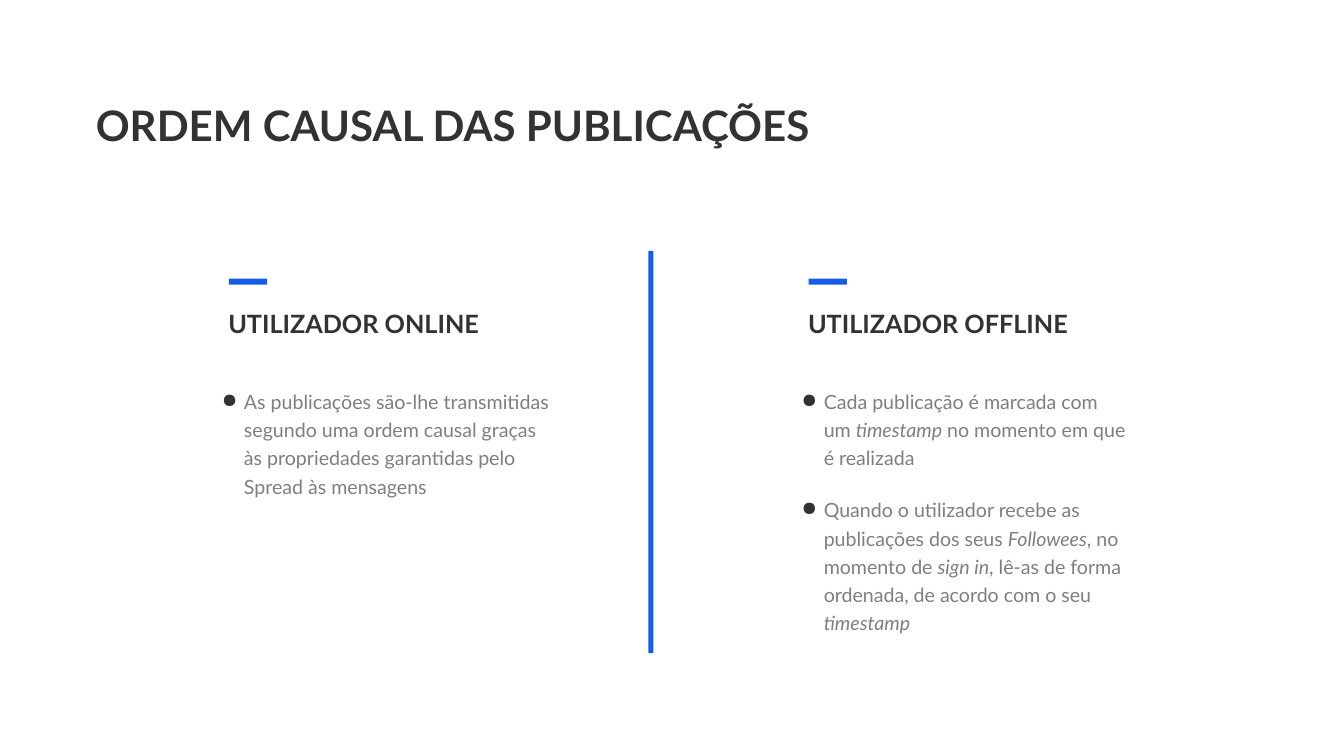
import pptx
import pptx.util
import pptx.dml.color
import pptx.enum.shapes
import pptx.enum.text
import pptx.oxml.ns
import lxml.etree

Inches = pptx.util.Inches
Pt = pptx.util.Pt
COLOURS = {"paper": "FEFFFE", "ink": "323232", "body": "7F7F7F", "accent": "145DE8"}
WIDTH, HEIGHT = 26.66, 15
LEFT_COLUMN, COLUMN_STEP = 4.43, 11.5
BAR_TOP, HEADING_TOP, BODY_TOP = 5.53, 6.06, 7.52

# Each body paragraph is a list of (text, italic) spans.
columns = [
    ("UTILIZADOR ONLINE", 5.3, 7.14, 2.68, [
        [("As publicações são-lhe transmitidas segundo uma ordem causal graças "
          "às propriedades garantidas pelo Spread às mensagens", False)],
    ]),
    ("UTILIZADOR OFFLINE", 6.02, 6.98, 4.1, [
        [("Cada publicação é marcada com um ", False), ("timestamp", True),
         (" no momento em que é realizada", False)],
        [("Quando o utilizador recebe as publicações dos seus ", False),
         ("Followees", True), (", no momento de ", False), ("sign in", True),
         (", lê-as de forma ordenada, de acordo com o seu ", False),
         ("timestamp", True)],
    ]),
]


def add_bar(left, top, width, height):
    """Add a flat accent rectangle, in inches."""
    bar = page.shapes.add_shape(pptx.enum.shapes.MSO_SHAPE.RECTANGLE, Inches(left),
                                Inches(top), Inches(width), Inches(height))
    bar.shadow.inherit = False
    bar.fill.solid()
    bar.fill.fore_color.rgb = pptx.dml.color.RGBColor.from_string(COLOURS["accent"])
    bar.line.fill.background()


def add_span(para, text, size, colour, bold=False, italic=False):
    """Add one formatted run to a left-aligned paragraph."""
    para.alignment = pptx.enum.text.PP_ALIGN.LEFT
    span = para.add_run()
    span.text = text
    span.font.name = "Lato"
    span.font.size = Pt(size)
    span.font.bold = bold
    span.font.italic = italic
    span.font.color.rgb = pptx.dml.color.RGBColor.from_string(COLOURS[colour])


deck = pptx.Presentation()
deck.slide_width, deck.slide_height = Inches(WIDTH), Inches(HEIGHT)
page = deck.slides.add_slide(deck.slide_layouts[5])
page.background.fill.solid()
page.background.fill.fore_color.rgb = pptx.dml.color.RGBColor.from_string(COLOURS["paper"])

title = page.shapes.title
title.left, title.top = Inches(1.8), Inches(1.93)
title.width, title.height = Inches(16.77), Inches(1.11)
title.text_frame.auto_size = pptx.enum.text.MSO_AUTO_SIZE.NONE
title.text_frame.vertical_anchor = pptx.enum.text.MSO_ANCHOR.TOP
add_span(title.text_frame.paragraphs[0], "ORDEM CAUSAL DAS PUBLICAÇÕES", 60, "ink", bold=True)

add_bar(12.86, 4.98, 0.1, 7.98)

for index, (heading, heading_width, body_width, body_height, points) in enumerate(columns):
    left = LEFT_COLUMN + index * COLUMN_STEP
    add_bar(left + 0.11, BAR_TOP, 0.76, 0.12)

    box = page.shapes.add_textbox(Inches(left), Inches(HEADING_TOP),
                                  Inches(heading_width), Inches(0.71))
    box.text_frame.word_wrap = True
    add_span(box.text_frame.paragraphs[0], heading, 36, "ink", bold=True)

    box = page.shapes.add_textbox(Inches(left - 0.33), Inches(BODY_TOP),
                                  Inches(body_width), Inches(body_height))
    frame = box.text_frame
    frame.word_wrap = True
    frame.margin_left = frame.margin_right = Inches(0.24)
    frame.margin_top = frame.margin_bottom = Inches(0.12)
    for number, spans in enumerate(points):
        para = frame.add_paragraph() if number else frame.paragraphs[0]
        para.line_spacing = 1.2
        para.space_before = Pt(34 if number else 0)
        for text, italic in spans:
            add_span(para, text, 28, "body", italic=italic)
        properties = para._p.get_or_add_pPr()
        properties.set("marL", str(Inches(0.5)))
        properties.set("indent", str(Inches(-0.44)))
        qn = pptx.oxml.ns.qn
        bullet_colour = lxml.etree.SubElement(properties, qn("a:buClr"))
        lxml.etree.SubElement(bullet_colour, qn("a:srgbClr"), val=COLOURS["ink"])
        lxml.etree.SubElement(properties, qn("a:buChar"), char="●")

deck.save("out.pptx")
